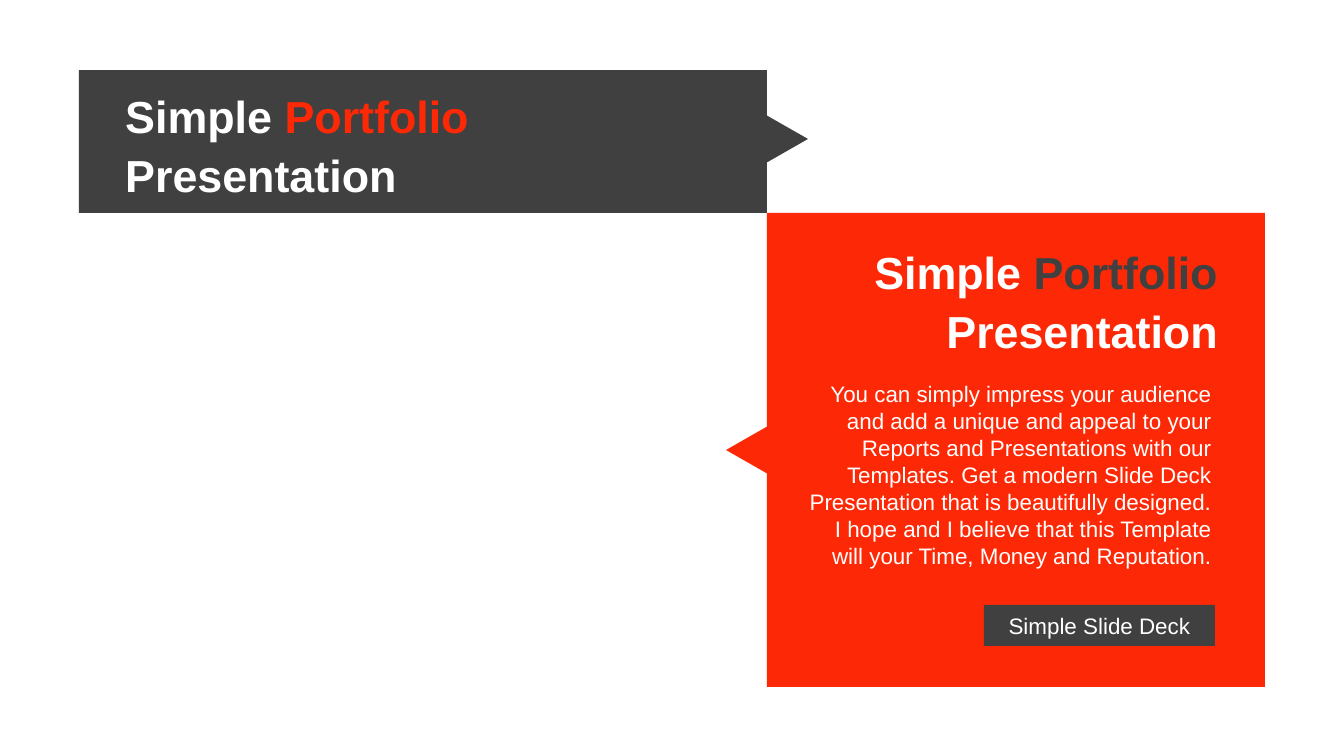
from pptx import Presentation
from pptx.dml.color import RGBColor
from pptx.enum.shapes import MSO_SHAPE as Shape
from pptx.enum.text import MSO_ANCHOR as Anchor, PP_ALIGN as Align
from pptx.util import Emu, Pt

SCALE = 914400 / 134.4
DARK, RED, WHITE = "404040", "FD2906", "FFFFFF"
BODY = ("You can simply impress your audience and add a unique and appeal to "
        "your Reports and Presentations with our Templates. Get a modern "
        "Slide Deck Presentation that is beautifully designed. I hope and I "
        "believe that this Template will your Time, Money and Reputation.")


def px(*nums):
    """Turn pixel lengths into EMU."""
    return [Emu(round(num * SCALE)) for num in nums]


def paint(item, color):
    """Set the colour of a fill or font."""
    item.rgb = RGBColor.from_string(color)


def block(slide, kind, box, color, turn=0):
    """Add a flat shape without outline or shadow."""
    shape = slide.shapes.add_shape(kind, *px(*box))
    shape.rotation = turn
    shape.shadow.inherit = False
    shape.fill.solid()
    paint(shape.fill.fore_color, color)
    shape.line.fill.background()
    return shape


def write(shape, text, size, align, anchor=Anchor.TOP):
    """Style the first paragraph of a shape and fill it with text."""
    frame = shape.text_frame
    frame.word_wrap = True
    frame.vertical_anchor = anchor
    para = frame.paragraphs[0]
    para.alignment = align
    font = para.font
    font.name, font.size = "Arial", Pt(size)
    paint(font.color, WHITE)
    para.add_run().text = text
    return para


def title(slide, box, accent, align):
    """Add the two-colour heading."""
    shape = slide.shapes.add_textbox(*px(*box))
    para = write(shape, "Simple ", 24, align, Anchor.MIDDLE)
    para.line_spacing = 1.1
    para.font.bold = True
    run = para.add_run()
    run.text = "Portfolio "
    paint(run.font.color, accent)
    para.add_run().text = "Presentation"


def main():
    """Build and save the slide."""
    deck = Presentation()
    deck.slide_width, deck.slide_height = px(1344, 756)
    slide = deck.slides.add_slide(deck.slide_layouts[6])

    block(slide, Shape.RECTANGLE, (79, 70, 688, 143), DARK)
    block(slide, Shape.RECTANGLE, (767, 213, 498, 474), RED)
    block(slide, Shape.ISOSCELES_TRIANGLE, (723, 429, 48, 42), RED, 270)
    block(slide, Shape.ISOSCELES_TRIANGLE, (763, 118, 48, 42), DARK, 90)

    title(slide, (112, 74, 593, 136), RED, Align.LEFT)
    title(slide, (786, 230, 445, 136), DARK, Align.RIGHT)
    body = slide.shapes.add_textbox(*px(786, 374, 439, 203))
    write(body, BODY, 12, Align.RIGHT)

    label = block(slide, Shape.RECTANGLE, (984, 605, 231, 41), DARK)
    write(label, "Simple Slide Deck", 12, Align.CENTER, Anchor.MIDDLE)
    deck.save("out.pptx")


if __name__ == "__main__":
    main()
